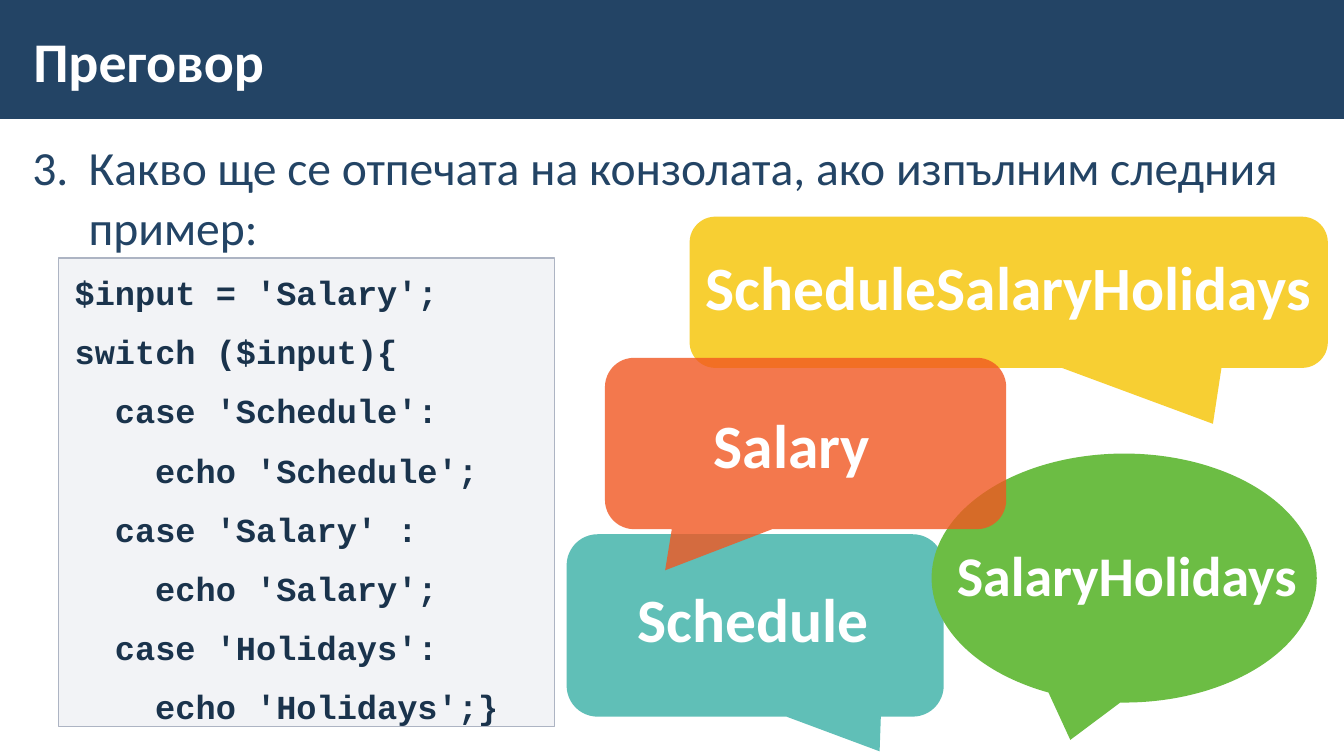
from lxml.etree import SubElement
from pptx import Presentation
from pptx.dml.color import RGBColor
from pptx.enum.shapes import MSO_SHAPE
from pptx.enum.text import MSO_ANCHOR, PP_ALIGN
from pptx.oxml.ns import qn
from pptx.util import Inches, Pt

COLORS = {
    "navy": "234465",
    "code": "1A334C",
    "border": "ADB4C3",
    "teal": "60BFB7",
    "green": "6CBD44",
    "yellow": "F5C300",
    "orange": "F15721",
    "white": "FFFFFF",
}
TIGHT = (0.12, 0.04)
ROOMY = (0.16, 0.12)
CODE_INDENT = 0.4
CODE = [
    (0, "$input = 'Salary';"),
    (0, "switch ($input){"),
    (1, "case 'Schedule':"),
    (2, "echo 'Schedule';"),
    (1, "case 'Salary' :"),
    (2, "echo 'Salary';"),
    (1, "case 'Holidays':"),
    (2, "echo 'Holidays';}"),
]
SPACED = {"line_spacing": 1.05, "space_before": Pt(6), "space_after": Pt(6)}
CENTERED = {"line_spacing": 1.1, "alignment": PP_ALIGN.CENTER}
LEFT = {"line_spacing": 1.1, "alignment": PP_ALIGN.LEFT}
SINGLE = {"line_spacing": 1.0, "alignment": PP_ALIGN.LEFT}


def apply_format(target, values):
    for name, value in values.items():
        setattr(target, name, value)


def color(name):
    return RGBColor.from_string(COLORS[name])


def add_panel(shapes, preset, box, fill, opacity=100, adjustments=()):
    panel = shapes.add_shape(preset, *map(Inches, box))
    panel.shadow.inherit = False
    panel.fill.solid()
    panel.fill.fore_color.rgb = color(fill)
    panel.line.fill.background()
    for index, value in enumerate(adjustments):
        panel.adjustments[index] = value
    if opacity < 100:
        fill_color = panel.fill._xPr.find(qn("a:solidFill"))[0]
        SubElement(fill_color, qn("a:alpha"), val=str(opacity * 1000))
    return panel


def set_up_frame(frame, insets, anchor=MSO_ANCHOR.TOP):
    side, end = map(Inches, insets)
    apply_format(frame, {
        "word_wrap": True,
        "vertical_anchor": anchor,
        "margin_left": side,
        "margin_right": side,
        "margin_top": end,
        "margin_bottom": end,
    })


def write_line(paragraph, text, size, ink, layout, font="Calibri", bold=True, margin=0, hanging=0):
    run = paragraph.add_run()
    run.text = text
    apply_format(run.font, {"name": font, "size": Pt(size), "bold": bold})
    run.font.color.rgb = color(ink)
    apply_format(paragraph, layout)
    properties = paragraph._p.get_or_add_pPr()
    properties.set("marL", str(Inches(margin)))
    properties.set("indent", str(-Inches(hanging)))


def add_label(shapes, box, insets, anchor=MSO_ANCHOR.TOP):
    frame = shapes.add_textbox(*map(Inches, box)).text_frame
    set_up_frame(frame, insets, anchor)
    return frame.paragraphs[0]


def add_question(slide):
    question = add_label(slide.shapes, (0.2, 1.3, 12.91, 5.95), TIGHT)
    write_line(question, "Какво ще се отпечата на конзолата, ако изпълним следния пример:",
               34, "navy", SPACED, bold=False, margin=0.56, hanging=0.56)
    SubElement(question._p.pPr, qn("a:buFont"), typeface="+mj-lt")
    SubElement(question._p.pPr, qn("a:buAutoNum"), type="arabicPeriod", startAt="3")


def add_code(slide):
    listing = add_panel(slide.shapes, MSO_SHAPE.RECTANGLE, (0.58, 2.56, 4.92, 4.65), "border", 15)
    listing.line.color.rgb = color("border")
    listing.line.width = Pt(1)
    frame = listing.text_frame
    set_up_frame(frame, ROOMY)
    for number, (level, text) in enumerate(CODE):
        paragraph = frame.add_paragraph() if number else frame.paragraphs[0]
        write_line(paragraph, text, 24, "code", {**SPACED, "alignment": PP_ALIGN.LEFT},
                   font="Courier New", margin=level * CODE_INDENT)


def add_answer(slide, preset, bubble, fill, opacity, tail, label, text, size, layout, margin=0):
    answer = slide.shapes.add_group_shape().shapes
    add_panel(answer, preset, bubble, fill, opacity, tail)
    write_line(add_label(answer, label, ROOMY), text, size, "white", layout, margin=margin)


def main():
    presentation = Presentation()
    presentation.slide_width = Inches(13.33)
    presentation.slide_height = Inches(7.5)
    slide = presentation.slides.add_slide(presentation.slide_layouts[6])
    rounded = MSO_SHAPE.ROUNDED_RECTANGULAR_CALLOUT

    add_panel(slide.shapes, MSO_SHAPE.RECTANGLE, (0, -0.02, 13.33, 1.2), "navy")
    add_answer(slide, rounded, (5.62, 5.3, 3.74, 1.81), "teal", 100, (0.33, 0.69, 0.17),
               (5.78, 5.57, 3.38, 1.05), "Schedule", 44, CENTERED)
    add_question(slide)
    add_code(slide)
    title = add_label(slide.shapes, (0.21, 0.11, 10.39, 0.97), TIGHT, MSO_ANCHOR.MIDDLE)
    write_line(title, "Преговор", 40, "white", SINGLE)
    add_answer(slide, MSO_SHAPE.OVAL_CALLOUT, (9.24, 4.5, 3.82, 2.47), "green", 100, (-0.14, 0.65),
               (8.66, 5.24, 4.96, 0.91), "SalaryHolidays", 40, SINGLE, margin=0.67)
    add_answer(slide, rounded, (6.84, 2.15, 6.33, 1.5), "yellow", 80, (0.32, 0.87, 0.17),
               (6.68, 2.28, 6.65, 2.04), "ScheduleSalaryHolidays", 44, CENTERED)
    add_answer(slide, rounded, (6, 3.55, 3.98, 1.7), "orange", 80, (-0.35, 0.74, 0.17),
               (6.92, 3.84, 2.7, 0.97), "Salary", 44, LEFT)

    presentation.save("out.pptx")


if __name__ == "__main__":
    main()
